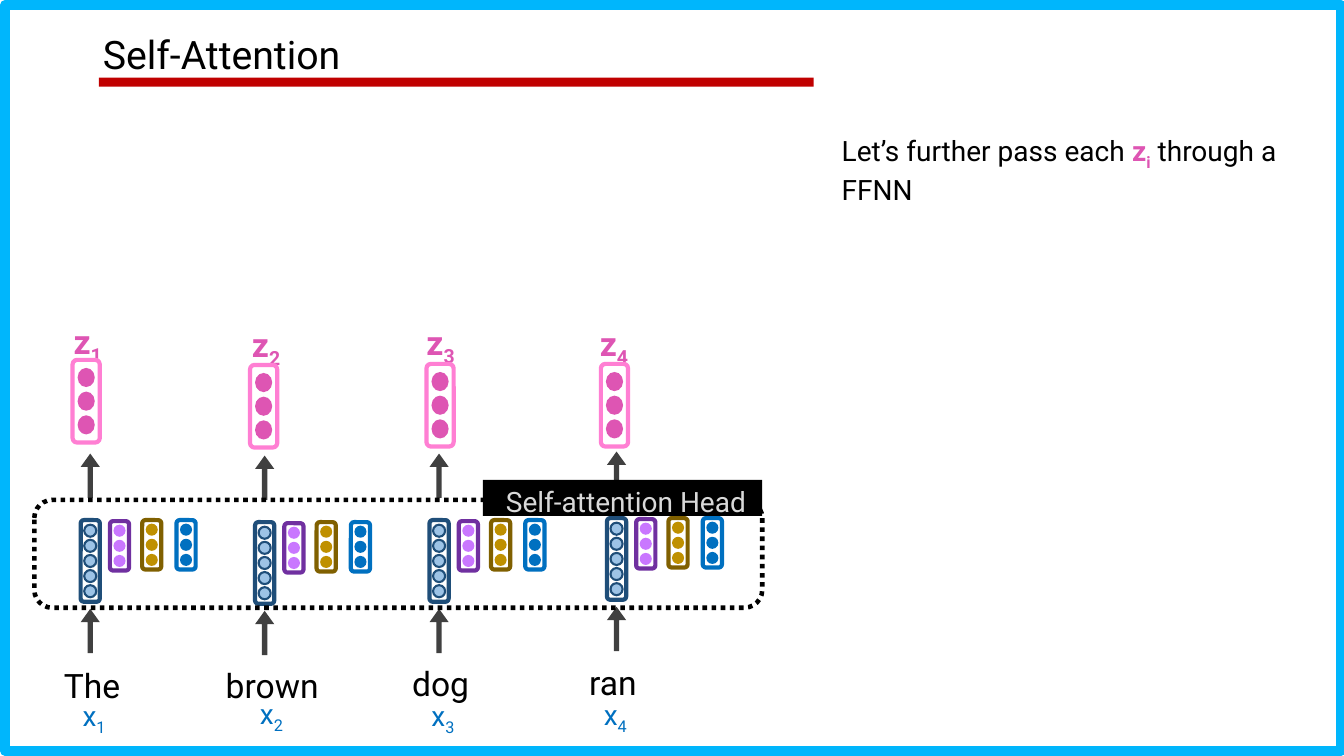
from collections import namedtuple

from pptx import Presentation
from pptx import util as u
from pptx.dml.color import RGBColor
from pptx.enum import dml, shapes, text

PX = 9144  # EMU; 100 px to the inch
FONT = "Roboto"
BLACK = RGBColor(0x00, 0x00, 0x00)
WHITE = RGBColor(0xFF, 0xFF, 0xFF)
GREY = RGBColor(0x40, 0x40, 0x40)
PALE = RGBColor(0xD9, 0xD9, 0xD9)
RED = RGBColor(0xC0, 0x00, 0x00)
CYAN = RGBColor(0x00, 0xB6, 0xFC)
NAVY = RGBColor(0x1F, 0x4E, 0x79)
SKY = RGBColor(0x9D, 0xC3, 0xE6)
PURPLE = RGBColor(0x70, 0x30, 0xA0)
LILAC = RGBColor(0xC9, 0x77, 0xFF)
BROWN = RGBColor(0x80, 0x60, 0x00)
GOLD = RGBColor(0xBF, 0x90, 0x00)
BLUE = RGBColor(0x00, 0x70, 0xC0)
PINK = RGBColor(0xFF, 0x7F, 0xD3)
ROSE = RGBColor(0xDE, 0x55, 0xB3)

KIND = shapes.MSO_SHAPE
LEFT, MID, RIGHT = text.PP_ALIGN.LEFT, text.PP_ALIGN.CENTER, text.PP_ALIGN.RIGHT

# mid and drop place the input vectors; the boxes are (left, top[, width])
Token = namedtuple("Token", "word mid drop word_box align x_box z_label z_box")
TOKENS = [
    Token("The", 89, 0, (52, 647, 77), RIGHT, (72, 688), (59, 304), (72, 357)),
    Token("brown", 262, 2, (202, 647, 136), MID, (248, 686), (236, 307), (248, 362)),
    Token("dog", 435, 0, (369, 645, 136), MID, (418, 688), (409, 305), (423, 361)),
    Token("ran", 611, -2, (540, 644, 136), MID, (589, 687), (581, 306), (596, 361)),
]

# Offset from the token's middle, top, height, dot count, line, dot fill
VECTORS = [
    (-9, 516, 81, 5, NAVY, SKY),
    (20, 517, 49, 3, PURPLE, LILAC),
    (52, 516, 49, 3, BROWN, GOLD),
    (86, 516, 49, 3, BLUE, BLUE),
]


def px(*nums):
    return [u.Emu(round(n * PX)) for n in nums]


def draw(home, kind, box, fill=None, line=None, width=3):
    shape = home.shapes.add_shape(kind, *px(*box))
    shape.shadow.inherit = False
    if fill is None:
        shape.fill.background()
    else:
        shape.fill.solid()
        shape.fill.fore_color.rgb = fill
    if line is None:
        shape.line.fill.background()
    else:
        shape.line.color.rgb = line
        shape.line.width = u.Pt(width)
    return shape


def put_run(para, words, size, color, bold=False, sub=False):
    run = para.add_run()
    run.text = words
    font = run.font
    font.name, font.size, font.bold = FONT, u.Pt(size), bold
    font.color.rgb = color
    if sub:
        run._r.get_or_add_rPr().set("baseline", "-25000")


def write(slide, box, runs, size=24, color=BLACK, align=LEFT, space=None):
    """Add a text box; each run is (words, format that differs)."""
    frame = slide.shapes.add_textbox(*px(*box)).text_frame
    frame.word_wrap = True
    para = frame.paragraphs[0]
    para.alignment = align
    if space:
        para.line_spacing = space
    for words, form in runs:
        put_run(para, words, **{"size": size, "color": color, **form})


def add_title(slide, words):
    title = slide.shapes.title
    title.left, title.top, title.width, title.height = px(92, 30, 965, 68)
    frame = title.text_frame
    frame.vertical_anchor = text.MSO_ANCHOR.TOP
    para = frame.paragraphs[0]
    para.alignment = LEFT
    para.line_spacing = 0.9
    put_run(para, words, 28, BLACK)


def add_stack(home, box, count, line, fill, dot=(12, 12), step=15, rim=None):
    """Draw a rounded frame with a centred column of dots."""
    draw(home, KIND.ROUNDED_RECTANGLE, box, line=line)
    left, top, wide, high = box
    dot_w, dot_h = dot
    first = top + (high - dot_h - step * (count - 1)) / 2
    for i in range(count):
        spot = (left + (wide - dot_w) / 2, first + i * step, dot_w, dot_h)
        draw(home, KIND.OVAL, spot, fill, rim, 1.5)


def add_arrow(slide, mid, top):
    arrow = draw(slide, KIND.UP_ARROW, (mid - 9, top, 19, 44), GREY)
    arrow.adjustments[0] = 0.276
    arrow.adjustments[1] = 0.696


def add_token(slide, num, tok):
    index = (str(num), {"sub": True})
    write(slide, (*tok.word_box, 55), [(tok.word, {})], align=tok.align, space=1.2)
    write(slide, (*tok.x_box, 45, 44), [("x", {}), index], size=20, color=BLUE)
    write(slide, (*tok.z_label, 56, 55),
          [("z", {"bold": True}), (str(num), {"bold": True, "sub": True})],
          color=ROSE, align=MID, space=1.2)

    group = slide.shapes.add_group_shape()
    for shift, top, high, count, line, fill in VECTORS:
        box = (tok.mid + shift, top + tok.drop, 19, high)
        add_stack(group, box, count, line, fill, rim=NAVY if fill == SKY else None)
    group = slide.shapes.add_group_shape()
    add_stack(group, (*tok.z_box, 27, 82), 3, PINK, ROSE, dot=(17, 19), step=23.5)

    for top in (604, 450):
        add_arrow(slide, tok.mid, top + tok.drop)


def add_head(slide):
    frame = draw(slide, KIND.ROUNDED_RECTANGLE, (34, 496, 722, 107),
                 line=BLACK, width=3.25)
    frame.line.dash_style = dml.MSO_LINE.ROUND_DOT
    draw(slide, KIND.RECTANGLE, (479, 476, 277, 36), BLACK)
    write(slide, (463, 469, 316, 54), [("Self-attention Head", {})],
          size=20, color=PALE, align=MID, space=1.2)


def main():
    deck = Presentation()
    deck.slide_width, deck.slide_height = px(1333, 750)
    slide = deck.slides.add_slide(deck.slide_layouts[5])
    slide.background.fill.solid()
    slide.background.fill.fore_color.rgb = WHITE

    draw(slide, KIND.RECTANGLE, (5, 5, 1325, 740), line=CYAN, width=7)
    draw(slide, KIND.RECTANGLE, (98, 77, 709, 9), RED)
    add_title(slide, "Self-Attention")
    for num, tok in enumerate(TOKENS, 1):
        add_token(slide, num, tok)
    add_head(slide)

    rose = {"color": ROSE, "bold": True}
    write(slide, (825, 128, 468, 77),
          [("Let’s further pass each ", {}), ("z", rose),
           ("i", {**rose, "sub": True}), (" through a FFNN", {})], size=20)
    deck.save("out.pptx")


if __name__ == "__main__":
    main()
